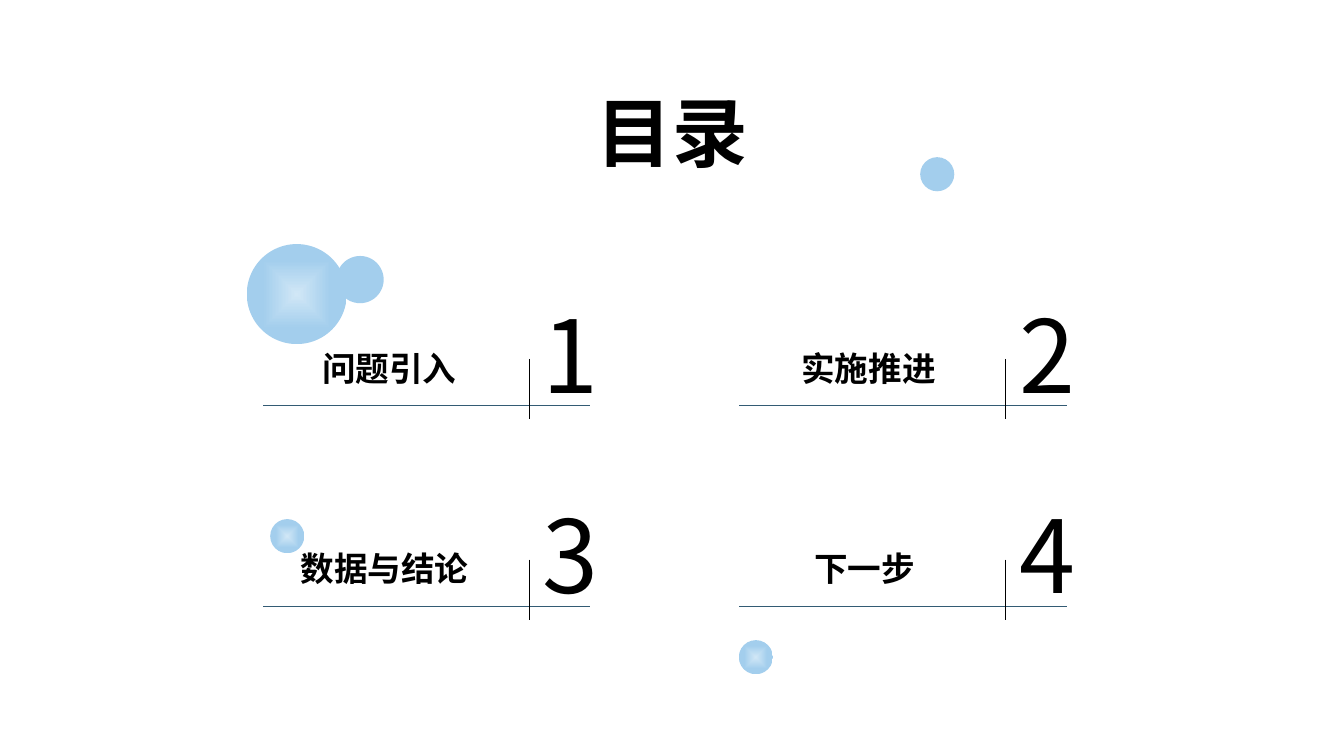
"""Builds a contents slide with four numbered entries and decorative bubbles."""
from dataclasses import dataclass

from lxml.etree import SubElement
from pptx import Presentation
from pptx.dml.color import RGBColor
from pptx.enum.shapes import MSO_CONNECTOR, MSO_SHAPE
from pptx.enum.text import MSO_ANCHOR, MSO_AUTO_SIZE, PP_ALIGN
from pptx.oxml import parse_xml
from pptx.oxml.ns import nsdecls, qn
from pptx.shapes.base import BaseShape
from pptx.slide import Slide
from pptx.util import Cm, Pt


@dataclass(frozen=True)
class Theme:
    font: str = "Noto Sans CJK SC"
    ink: str = "000000"
    rule: str = "335B74"
    bubble: str = "A3CEED"
    glow: str = "D1E7F6"
    title_size: float = 54
    label_size: float = 24
    number_size: float = 72
    number_spacing: float = 1.5
    line_width: float = 0.5


@dataclass(frozen=True)
class Bubble:
    left: float
    top: float
    diameter: float
    rotation: float = 270
    glowing: bool = True


@dataclass(frozen=True)
class Entry:
    label: str
    label_shift: float


THEME = Theme()
BUBBLES = (
    Bubble(6.22, 6.15, 2.52),
    Bubble(6.81, 13.08, 0.86),
    Bubble(18.62, 16.13, 0.86),
    Bubble(8.48, 6.45, 1.19, glowing=False),
    Bubble(23.19, 3.96, 0.86, rotation=210, glowing=False),
)
ENTRIES = (
    Entry("问题引入", -0.48),
    Entry("实施推进", -0.4),
    Entry("数据与结论", -0.6),
    Entry("下一步", -0.5),
)
COLUMNS = 2
GRID_LEFT, GRID_TOP = 6.63, 10.21
COLUMN_PITCH, ROW_PITCH = 12, 5.06


def write_text(shape: BaseShape, text: str, size: float, bold: bool = False,
               wrap: bool = True, spacing: float = 0) -> None:
    """Fill a shape with one centred line of themed text."""
    frame = shape.text_frame
    frame.text = text
    frame.word_wrap = wrap
    frame.auto_size = MSO_AUTO_SIZE.SHAPE_TO_FIT_TEXT
    frame.vertical_anchor = MSO_ANCHOR.TOP
    paragraph = frame.paragraphs[0]
    paragraph.alignment = PP_ALIGN.CENTER
    font = paragraph.runs[0].font
    font.name = THEME.font
    font.size = Pt(size)
    font.bold = bold
    font.color.rgb = RGBColor.from_string(THEME.ink)
    properties = paragraph.runs[0]._r.get_or_add_rPr()
    SubElement(properties, qn("a:ea")).set("typeface", THEME.font)
    if spacing:
        properties.set("spc", str(round(spacing * 100)))


def add_title(slide: Slide, text: str) -> None:
    """Place and format the slide title."""
    title = slide.shapes.title
    title.left, title.top, title.width, title.height = Cm(14.76), Cm(2.03), Cm(4.37), Cm(2.57)
    write_text(title, text, THEME.title_size, bold=True, wrap=False)


def add_bubble(slide: Slide, bubble: Bubble) -> None:
    """Draw a plain or glowing circle."""
    shape = slide.shapes.add_shape(MSO_SHAPE.OVAL, Cm(bubble.left), Cm(bubble.top),
                                   Cm(bubble.diameter), Cm(bubble.diameter))
    shape.rotation = bubble.rotation
    shape.shadow.inherit = False
    shape.line.fill.background()
    shape.fill.solid()
    shape.fill.fore_color.rgb = RGBColor.from_string(THEME.bubble)
    if bubble.glowing:
        stops = "".join(
            f'<a:gs pos="{position * 1000}"><a:srgbClr val="{color}"/></a:gs>'
            for position, color in ((0, THEME.glow), (68, THEME.bubble), (100, THEME.bubble)))
        gradient = parse_xml(
            f'<a:gradFill {nsdecls("a")} rotWithShape="1"><a:gsLst>{stops}</a:gsLst>'
            '<a:path path="shape"><a:fillToRect l="50000" t="50000" r="50000" b="50000"/>'
            '</a:path></a:gradFill>')
        properties = shape._element.spPr
        properties.replace(properties.find(qn("a:solidFill")), gradient)


def add_line(slide: Slide, left: float, top: float, right: float, bottom: float,
             color: str) -> None:
    """Draw a thin straight line."""
    line = slide.shapes.add_connector(MSO_CONNECTOR.STRAIGHT, Cm(left), Cm(top),
                                      Cm(right), Cm(bottom))
    line.line.color.rgb = RGBColor.from_string(color)
    line.line.width = Pt(THEME.line_width)
    SubElement(line._element.spPr, qn("a:effectLst"))


def add_entry(slide: Slide, index: int, entry: Entry) -> None:
    """Draw one contents entry in its grid cell."""
    row, column = divmod(index, COLUMNS)
    left = GRID_LEFT + column * COLUMN_PITCH
    top = GRID_TOP + row * ROW_PITCH
    divider = left + 6.71
    label = slide.shapes.add_textbox(Cm(left + entry.label_shift), Cm(top - 1.58),
                                     Cm(7.32), Cm(1.27))
    write_text(label, entry.label, THEME.label_size, bold=True)
    add_line(slide, left, top, left + 8.25, top, THEME.rule)
    add_line(slide, divider, top - 1.17, divider, top + 0.36, THEME.ink)
    number = slide.shapes.add_textbox(Cm(left + 6.4), Cm(top - 2.97), Cm(2.72), Cm(3.33))
    write_text(number, str(index + 1), THEME.number_size, spacing=THEME.number_spacing)


def main() -> None:
    """Build and save the presentation."""
    presentation = Presentation()
    presentation.slide_width, presentation.slide_height = Cm(33.87), Cm(19.05)
    slide = presentation.slides.add_slide(presentation.slide_layouts[5])
    add_title(slide, "目录")
    for bubble in BUBBLES:
        add_bubble(slide, bubble)
    for index, entry in enumerate(ENTRIES):
        add_entry(slide, index, entry)
    presentation.save("out.pptx")


if __name__ == "__main__":
    main()
